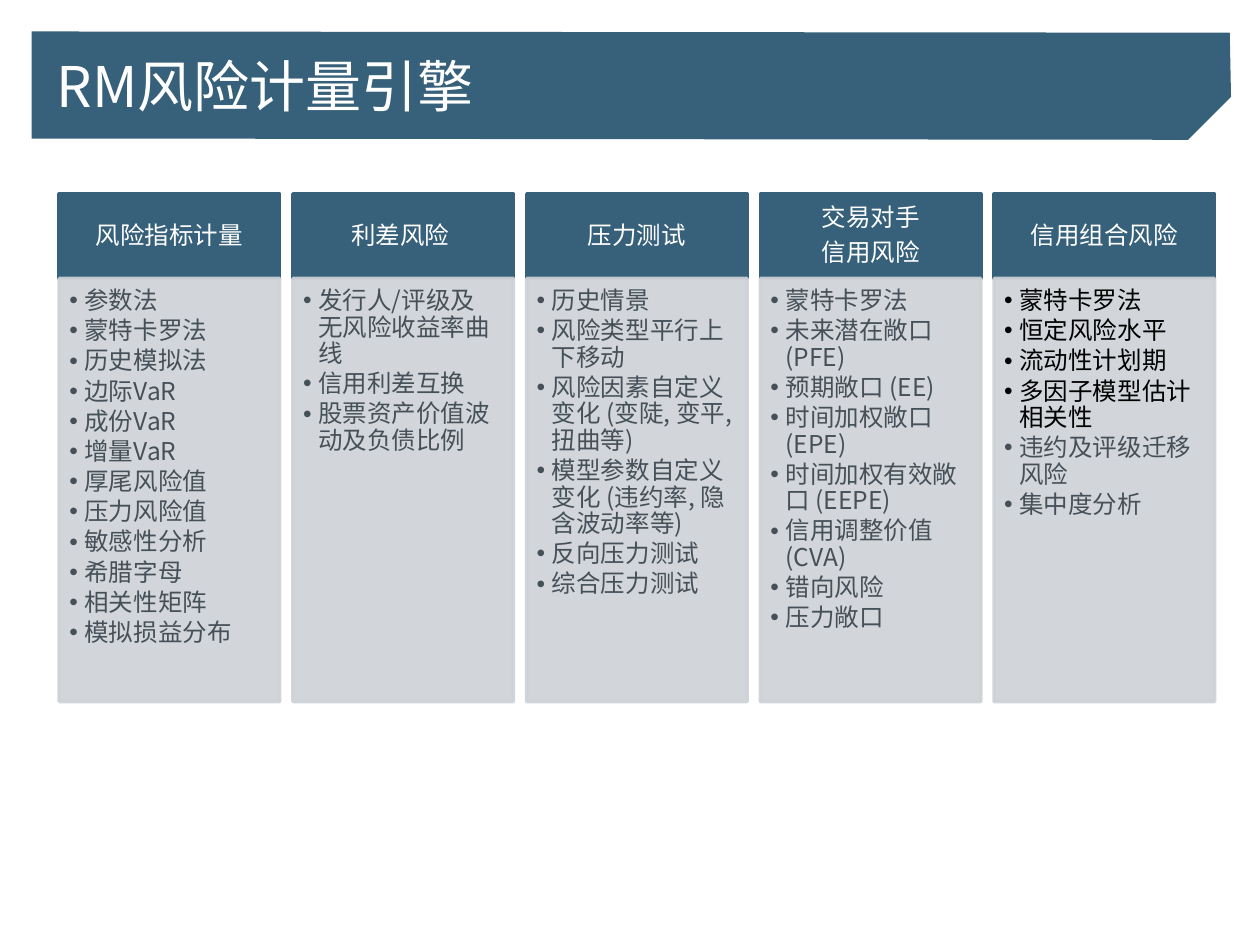
from dataclasses import dataclass

from pptx import Presentation
from pptx.dml.color import RGBColor
from pptx.enum.shapes import MSO_SHAPE
from pptx.enum.text import MSO_ANCHOR, MSO_AUTO_SIZE, PP_ALIGN
from pptx.oxml.ns import qn
from pptx.util import Inches, Pt
from lxml.etree import SubElement


@dataclass(frozen=True)
class Theme:
    font: str = "Noto Sans CJK SC"
    blue: RGBColor = RGBColor(0x37, 0x61, 0x7A)
    panel: RGBColor = RGBColor(0xCE, 0xD2, 0xD7)
    white: RGBColor = RGBColor(0xFF, 0xFF, 0xFF)
    grey: RGBColor = RGBColor(0x46, 0x50, 0x58)
    black: RGBColor = RGBColor(0x00, 0x00, 0x00)
    title_size: int = 32
    text_size: int = 14


@dataclass(frozen=True)
class Column:
    heading: tuple[str, ...]
    items: tuple[str, ...]
    black_items: int = 0  # how many leading items are black


THEME = Theme()
FIRST_LEFT, LAST_LEFT, COLUMN_WIDTH = 0.47, 7.89, 1.75
HEADING_TOP, HEADING_HEIGHT = 1.54, 0.67
PANEL_TOP, PANEL_HEIGHT = 2.21, 3.36
BULLET_INDENT = 0.12
BANNER_POINTS = [(0.25, 0.25), (9.76, 0.26), (9.77, 0.77), (9.43, 1.11), (0.25, 1.1)]

COLUMNS = [
    Column(("风险指标计量",),
           ("参数法", "蒙特卡罗法", "历史模拟法", "边际VaR", "成份VaR", "增量VaR",
            "厚尾风险值", "压力风险值", "敏感性分析", "希腊字母", "相关性矩阵",
            "模拟损益分布")),
    Column(("利差风险 ",),
           ("发行人/评级及无风险收益率曲线", "信用利差互换", "股票资产价值波动及负债比例")),
    Column(("压力测试",),
           ("历史情景", "风险类型平行上下移动", "风险因素自定义变化 (变陡, 变平, 扭曲等)",
            "模型参数自定义变化 (违约率, 隐含波动率等)", "反向压力测试", "综合压力测试")),
    Column(("交易对手", "信用风险"),
           ("蒙特卡罗法", "未来潜在敞口 (PFE)", "预期敞口 (EE)", "时间加权敞口 (EPE)",
            "时间加权有效敞口 (EEPE)", "信用调整价值 (CVA)", "错向风险", "压力敞口")),
    Column(("信用组合风险",),
           ("蒙特卡罗法", "恒定风险水平", "流动性计划期", "多因子模型估计相关性",
            "违约及评级迁移风险", "集中度分析"), black_items=4),
]


def add_run(paragraph, text: str, size: int, color: RGBColor) -> None:
    run = paragraph.add_run()
    run.text = text
    run.font.size = Pt(size)
    run.font.color.rgb = color
    run.font.name = THEME.font
    SubElement(run.font._element, qn("a:ea"), typeface=THEME.font)


def set_frame(frame, anchor: MSO_ANCHOR, insets: tuple[float, ...]) -> None:
    """Insets run left, top, right, bottom."""
    frame.word_wrap = True
    frame.auto_size = MSO_AUTO_SIZE.NONE
    frame.vertical_anchor = anchor
    (frame.margin_left, frame.margin_top,
     frame.margin_right, frame.margin_bottom) = map(Inches, insets)


def add_paragraph(frame, index: int, alignment: PP_ALIGN, space_after: float):
    paragraph = frame.add_paragraph() if index else frame.paragraphs[0]
    paragraph.alignment = alignment
    paragraph.line_spacing = 0.9
    paragraph.space_after = Pt(space_after)
    return paragraph


def add_bullet(paragraph) -> None:
    properties = paragraph._p.get_or_add_pPr()
    properties.set("marL", str(Inches(BULLET_INDENT)))
    properties.set("indent", str(-Inches(BULLET_INDENT)))
    SubElement(properties, qn("a:buFont"), typeface="Arial")
    SubElement(properties, qn("a:buChar"), char="•")


def add_box(slide, left: float, top: float, height: float, color: RGBColor):
    shape = slide.shapes.add_shape(MSO_SHAPE.RECTANGLE, Inches(left), Inches(top),
                                   Inches(COLUMN_WIDTH), Inches(height))
    shape.shadow.inherit = False
    shape.fill.solid()
    shape.fill.fore_color.rgb = color
    shape.line.color.rgb = color
    shape.line.width = Pt(2)
    return shape


def make_translucent(shape, percent: int) -> None:
    for color in shape._element.spPr.iter(qn("a:srgbClr")):
        SubElement(color, qn("a:alpha"), val=str(percent * 1000))


def add_column(slide, column: Column, left: float) -> None:
    heading = add_box(slide, left, HEADING_TOP, HEADING_HEIGHT, THEME.blue)
    set_frame(heading.text_frame, MSO_ANCHOR.MIDDLE, (0.11, 0.06, 0.11, 0.06))
    for index, text in enumerate(column.heading):
        paragraph = add_paragraph(heading.text_frame, index, PP_ALIGN.CENTER, 4.9)
        add_run(paragraph, text, THEME.text_size, THEME.white)

    panel = add_box(slide, left, PANEL_TOP, PANEL_HEIGHT, THEME.panel)
    make_translucent(panel, 90)
    set_frame(panel.text_frame, MSO_ANCHOR.TOP, (0.08, 0.08, 0.11, 0.12))
    for index, text in enumerate(column.items):
        paragraph = add_paragraph(panel.text_frame, index, PP_ALIGN.LEFT, 2.1)
        paragraph.level = 1
        add_bullet(paragraph)
        color = THEME.black if index < column.black_items else THEME.grey
        add_run(paragraph, text, THEME.text_size, color)


def add_banner(slide) -> None:
    points = [(Inches(x), Inches(y)) for x, y in BANNER_POINTS]
    builder = slide.shapes.build_freeform(*points[0])
    builder.add_line_segments(points[1:], close=True)
    banner = builder.convert_to_shape()
    banner.shadow.inherit = False
    banner.fill.solid()
    banner.fill.fore_color.rgb = THEME.blue
    banner.line.fill.background()


def add_title(slide, text: str) -> None:
    title = slide.shapes.title
    title.left, title.top = Inches(0.25), Inches(0.25)
    title.width, title.height = Inches(9.51), Inches(0.85)
    set_frame(title.text_frame, MSO_ANCHOR.MIDDLE, (0.2, 0.05, 0.1, 0.05))
    paragraph = title.text_frame.paragraphs[0]
    paragraph.alignment = PP_ALIGN.LEFT
    add_run(paragraph, text, THEME.title_size, THEME.white)
    slide.shapes._spTree.append(title._element)  # bring in front of the banner


def main() -> None:
    presentation = Presentation()
    presentation.slide_width, presentation.slide_height = Inches(10), Inches(7.5)
    slide = presentation.slides.add_slide(presentation.slide_layouts[5])
    add_banner(slide)
    add_title(slide, "RM风险计量引擎")
    pitch = (LAST_LEFT - FIRST_LEFT) / (len(COLUMNS) - 1)
    for index, column in enumerate(COLUMNS):
        add_column(slide, column, FIRST_LEFT + index * pitch)
    presentation.save("out.pptx")


if __name__ == "__main__":
    main()
